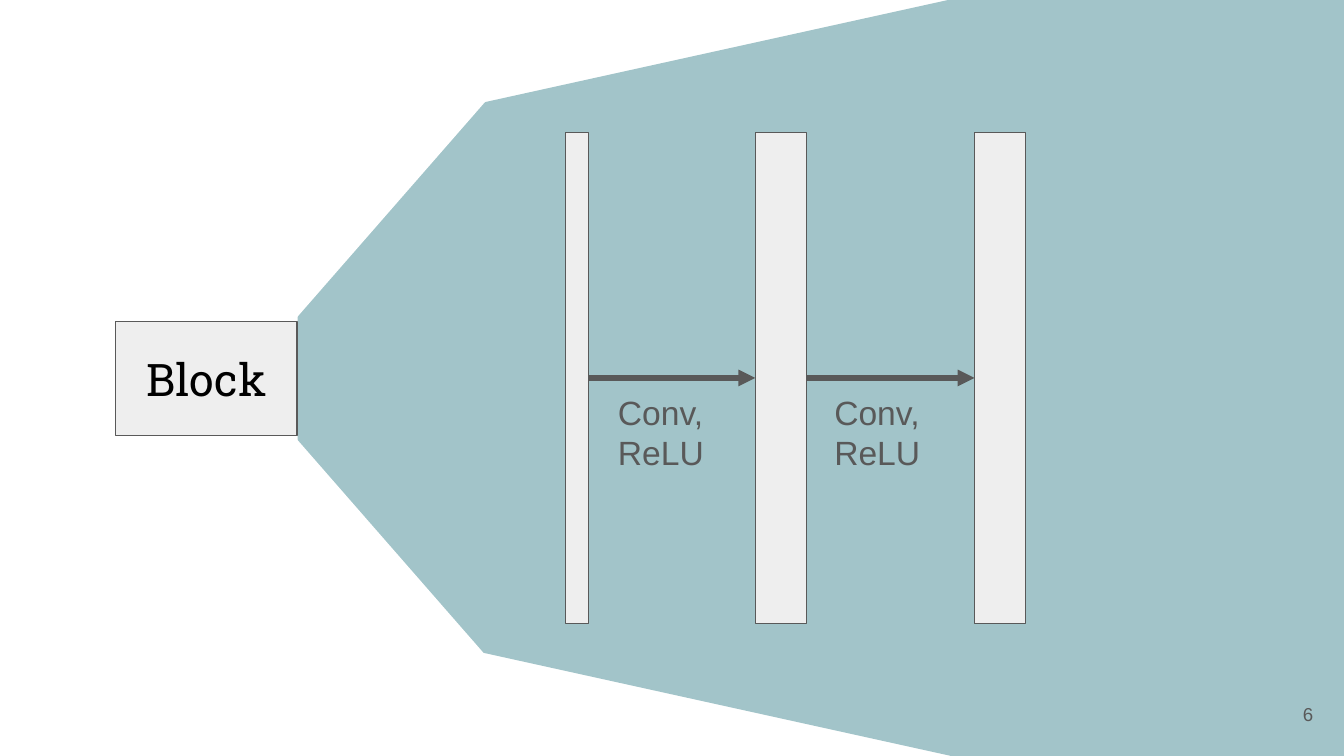
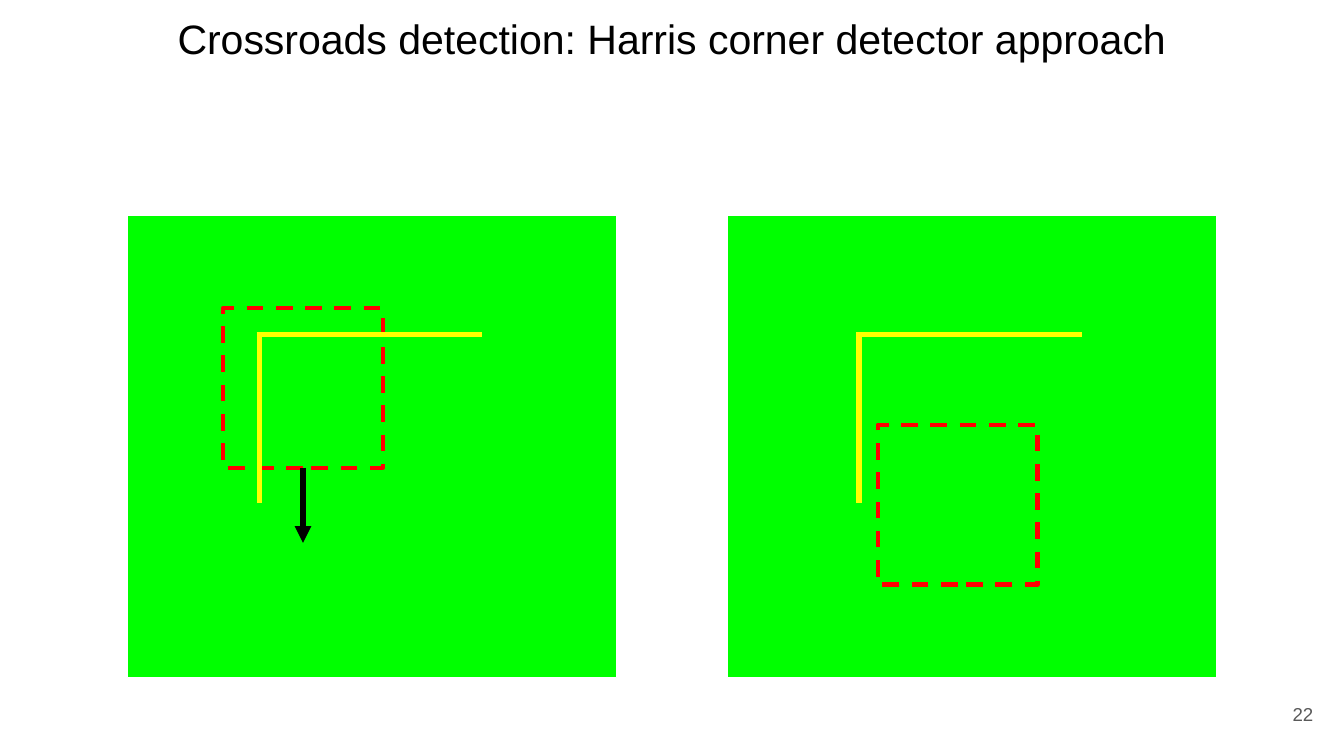
from dataclasses import dataclass

from lxml import etree
from pptx import Presentation
from pptx.dml.color import RGBColor
from pptx.enum.dml import MSO_LINE
from pptx.enum.shapes import MSO_CONNECTOR, MSO_SHAPE
from pptx.enum.text import MSO_ANCHOR, MSO_AUTO_SIZE, PP_ALIGN
from pptx.oxml.ns import qn
from pptx.shapes.autoshape import Shape
from pptx.shapes.connector import Connector
from pptx.slide import Slide
from pptx.util import Inches, Pt

WHITE = RGBColor(0xFF, 0xFF, 0xFF)
BLACK = RGBColor(0x00, 0x00, 0x00)
GREY = RGBColor(0x59, 0x59, 0x59)
LIGHT = RGBColor(0xEE, 0xEE, 0xEE)
TEAL = RGBColor(0xA2, 0xC4, 0xC9)
GREEN = RGBColor(0x00, 0xFF, 0x00)
RED = RGBColor(0xFF, 0x00, 0x00)
YELLOW = RGBColor(0xFF, 0xFF, 0x00)

RECTANGLE = MSO_SHAPE.RECTANGLE
TRAPEZOID = MSO_SHAPE.TRAPEZOID
RIGHT_TRIANGLE = MSO_SHAPE.RIGHT_TRIANGLE
STRAIGHT = MSO_CONNECTOR.STRAIGHT
DASH = MSO_LINE.DASH
LEFT, CENTER, RIGHT = PP_ALIGN.LEFT, PP_ALIGN.CENTER, PP_ALIGN.RIGHT
TOP, MIDDLE = MSO_ANCHOR.TOP, MSO_ANCHOR.MIDDLE
GROW = MSO_AUTO_SIZE.SHAPE_TO_FIT_TEXT

BODY_FONT = "Arial"
BLOCK_FONT = "Roboto Slab"
LEFT_SIDE, BOTTOM_SIDE, RIGHT_SIDE = 1, 2, 3

SLIDE_WIDTH = 10
SLIDE_HEIGHT = SLIDE_WIDTH * 9 / 16
MID_Y = SLIDE_HEIGHT / 2


@dataclass(frozen=True)
class Box:
    left: float
    top: float
    width: float
    height: float

    def lengths(self) -> tuple:
        return tuple(Inches(v) for v in (self.left, self.top, self.width, self.height))


@dataclass(frozen=True)
class TextStyle:
    size: float
    color: RGBColor
    align: PP_ALIGN = LEFT
    anchor: MSO_ANCHOR = TOP
    font: str = BODY_FONT


@dataclass(frozen=True)
class Panel:
    """A field with a road corner and the search window's offset within it."""
    left: float
    window_x: float
    window_y: float
    moving: bool


TITLE_STYLE = TextStyle(22, BLACK, CENTER)
NUMBER_STYLE = TextStyle(10, GREY, RIGHT, MIDDLE)
BLOCK_STYLE = TextStyle(24, BLACK, CENTER, MIDDLE, BLOCK_FONT)
CAPTION_STYLE = TextStyle(18, GREY)

LAYER_HEIGHT = 3.65
LAYER_TOP = MID_Y - LAYER_HEIGHT / 2
LAYERS = [Box(left, LAYER_TOP, width, LAYER_HEIGHT)
          for left, width in ((4.21, 0.17), (5.62, 0.38), (7.25, 0.38))]
CAPTION_LEFTS = (4.5, 6.11)

PANEL_TOP, PANEL_WIDTH, PANEL_HEIGHT = 1.6, 3.64, 3.44
WINDOW_SIZE = 1.19
CORNER_X, CORNER_Y = 0.96, 0.89
ROAD_WIDTH, ROAD_HEIGHT = 1.68, 1.25
HALF_STROKE = 0.02
PANELS = (Panel(0.95, 0.71, 0.69, True), Panel(5.41, 1.12, 1.56, False))


def add_figure(slide: Slide, kind: MSO_SHAPE, box: Box, fill: RGBColor | None,
               line: RGBColor | None = None, weight: float = 0.75) -> Shape:
    figure = slide.shapes.add_shape(kind, *box.lengths())
    figure.shadow.inherit = False
    if fill is None:
        figure.fill.background()
    else:
        figure.fill.solid()
        figure.fill.fore_color.rgb = fill
    if line is None:
        figure.line.fill.background()
    else:
        figure.line.color.rgb = line
        figure.line.width = Pt(weight)
    return figure


def add_line(slide: Slide, start: tuple[float, float], end: tuple[float, float],
             color: RGBColor, arrow: bool = False) -> Connector:
    line = slide.shapes.add_connector(STRAIGHT, *(Inches(v) for v in (*start, *end)))
    line.line.color.rgb = color
    line.line.width = Pt(3)
    properties = line._element.spPr
    if arrow:
        etree.SubElement(properties.find(qn("a:ln")), qn("a:tailEnd"), type="triangle")
    etree.SubElement(properties, qn("a:effectLst"))
    return line


def write(holder: Shape, lines: list[str], style: TextStyle) -> None:
    frame = holder.text_frame
    frame.word_wrap = True
    frame.vertical_anchor = style.anchor
    frame.margin_left = frame.margin_right = Inches(0.1)
    frame.margin_top = frame.margin_bottom = Inches(0.1)
    frame.text = "\n".join(lines)
    for paragraph in frame.paragraphs:
        paragraph.alignment = style.align
        paragraph.font.name = style.font
        paragraph.font.size = Pt(style.size)
        paragraph.font.color.rgb = style.color


def add_text(slide: Slide, box: Box, lines: list[str], style: TextStyle,
             grow: bool = True) -> None:
    holder = slide.shapes.add_textbox(*box.lengths())
    write(holder, lines, style)
    if grow:
        holder.text_frame.auto_size = GROW


def add_slide(prs: Presentation) -> Slide:
    slide = prs.slides.add_slide(prs.slide_layouts[6])
    slide.background.fill.solid()
    slide.background.fill.fore_color.rgb = WHITE
    return slide


def add_number(slide: Slide, number: int) -> None:
    add_text(slide, Box(9.27, 5.1, 0.6, 0.43), [str(number)], NUMBER_STYLE, grow=False)


def add_zoom_beam(slide: Slide) -> None:
    """Draw the beam widening from the block, its near corners cut off in white."""
    beam = add_figure(slide, TRAPEZOID, Box(2.68, -1.14, 6.97, 7.9), TEAL)
    beam.rotation = 270
    beam.adjustments[0] = 0.25
    add_figure(slide, RIGHT_TRIANGLE, Box(2.14, 3.19, 1.52, 1.74), WHITE)
    upper_cut = add_figure(slide, RIGHT_TRIANGLE, Box(2.14, 0.7, 1.52, 1.74), WHITE)
    upper_cut.rotation = 180
    upper_cut._element.spPr.find(qn("a:xfrm")).set("flipH", "1")


def build_block_slide(prs: Presentation) -> None:
    slide = add_slide(prs)
    add_zoom_beam(slide)
    layers = [add_figure(slide, RECTANGLE, box, LIGHT, GREY) for box in LAYERS]
    block = add_figure(slide, RECTANGLE, Box(0.86, 2.39, 1.35, 0.85), LIGHT, GREY)
    write(block, ["Block"], BLOCK_STYLE)
    for i, caption_left in enumerate(CAPTION_LEFTS):
        source, target = LAYERS[i], LAYERS[i + 1]
        step = add_line(slide, (source.left + source.width, MID_Y),
                        (target.left, MID_Y), GREY, arrow=True)
        step.begin_connect(layers[i], RIGHT_SIDE)
        step.end_connect(layers[i + 1], LEFT_SIDE)
        add_text(slide, Box(caption_left, MID_Y, 0.86, 0.81), ["Conv,", "ReLU"],
                 CAPTION_STYLE)
    add_number(slide, 6)


def add_panel(slide: Slide, panel: Panel) -> None:
    add_figure(slide, RECTANGLE, Box(panel.left, PANEL_TOP, PANEL_WIDTH, PANEL_HEIGHT),
               GREEN, WHITE)
    window_box = Box(panel.left + panel.window_x, PANEL_TOP + panel.window_y,
                     WINDOW_SIZE, WINDOW_SIZE)
    window = add_figure(slide, RECTANGLE, window_box, None, RED, 2.25)
    window.line.dash_style = DASH
    if panel.moving:
        x = window_box.left + WINDOW_SIZE / 2
        y = window_box.top + WINDOW_SIZE
        move = add_line(slide, (x, y), (x, y + 0.56), BLACK, arrow=True)
        move.begin_connect(window, BOTTOM_SIDE)
    x, y = panel.left + CORNER_X, PANEL_TOP + CORNER_Y
    add_line(slide, (x, y), (x + ROAD_WIDTH, y), YELLOW)
    add_line(slide, (x + HALF_STROKE, y), (x + HALF_STROKE, y + ROAD_HEIGHT), YELLOW)


def build_corner_slide(prs: Presentation) -> None:
    slide = add_slide(prs)
    add_text(slide, Box(0.95, 0, 8.1, 0.57),
             ["Crossroads detection: Harris corner detector approach"], TITLE_STYLE)
    for panel in PANELS:
        add_panel(slide, panel)
    add_number(slide, 22)


def main() -> None:
    prs = Presentation()
    prs.slide_width = Inches(SLIDE_WIDTH)
    prs.slide_height = Inches(SLIDE_HEIGHT)
    build_block_slide(prs)
    build_corner_slide(prs)
    prs.save("out.pptx")


if __name__ == "__main__":
    main()
